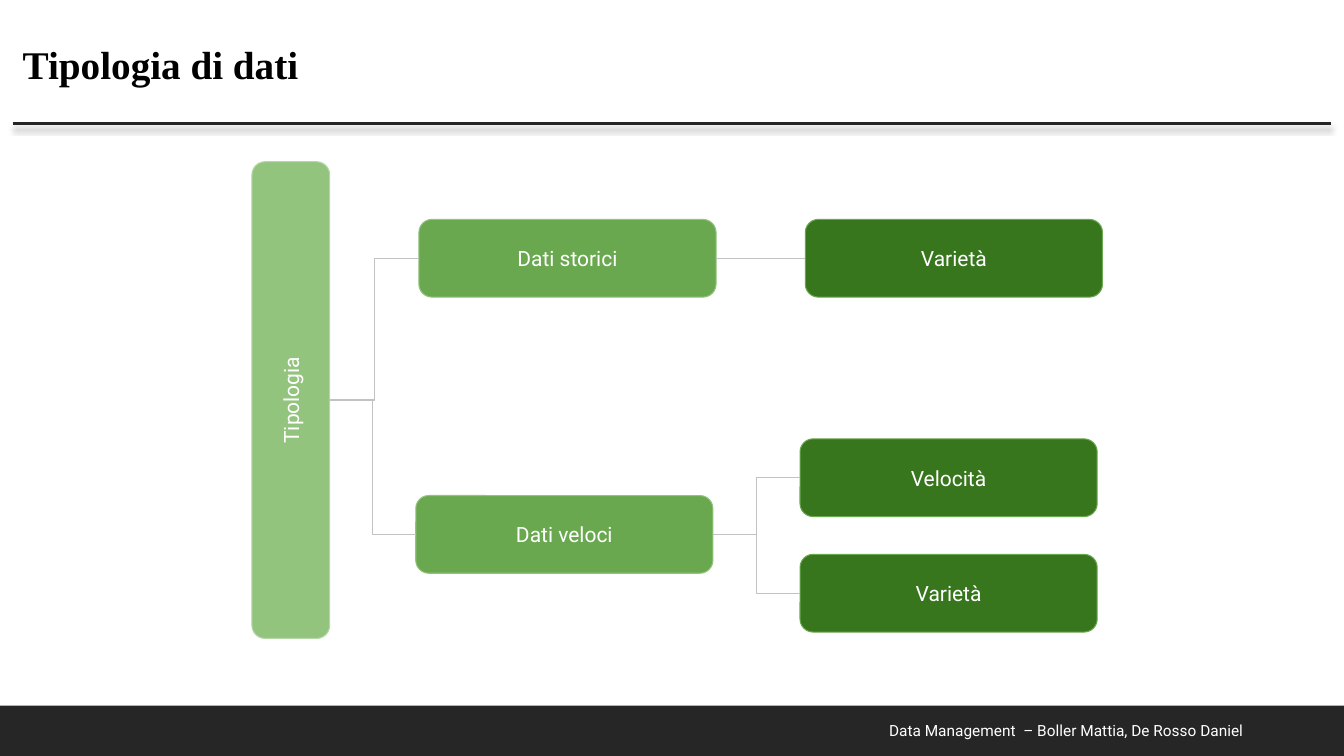
"""Build the slide with the tree of data types."""
from lxml.etree import SubElement
from pptx import Presentation
from pptx.dml.color import RGBColor as Rgb
from pptx.enum.shapes import MSO_CONNECTOR as Link, MSO_SHAPE as Form
from pptx.enum.text import MSO_ANCHOR as Anchor, MSO_AUTO_SIZE as Auto, PP_ALIGN as Align
from pptx.oxml.ns import qn
from pptx.util import Pt

PX = 9525
HEX = {"dark": "262626", "black": "000000", "white": "FFFFFF", "gray": "C2C2C2",
       "pale": "B6D7A8", "light": "93C47D", "mid": "6AA84F", "deep": "38761D"}
FACE = {"name": "Roboto", "size": Pt(15), "bold": False}


def write(shape, text, face, tint, align, frame):
    """Fill a shape with one formatted paragraph."""
    box = shape.text_frame
    box.text = text
    para = box.paragraphs[0]
    para.alignment = align
    font = para.runs[0].font
    font.color.rgb = Rgb.from_string(HEX[tint])
    for item, vals in ((box, frame), (font, face)):
        for key, val in vals.items():
            setattr(item, key, val)


def join(kind, ends, tint, width):
    """Draw a connector and return it with its empty effect list."""
    line = slide.shapes.add_connector(kind, *(n * PX for n in ends))
    line.line.color.rgb = Rgb.from_string(HEX[tint])
    line.line.width = Pt(width)
    return line, SubElement(line._element.spPr, qn("a:effectLst"))


deck = Presentation()
deck.slide_width, deck.slide_height = 1280 * PX, 720 * PX
slide = deck.slides.add_slide(deck.slide_layouts[5])

bar = slide.shapes.add_shape(Form.RECTANGLE, 0, 672 * PX, 1280 * PX, 48 * PX)
bar.shadow.inherit = False
bar.fill.solid()
bar.fill.fore_color.rgb = Rgb.from_string(HEX["dark"])
bar.line.fill.background()

foot = slide.shapes.add_textbox(779 * PX, 677 * PX, 415 * PX, 38 * PX)
write(foot, "Data Management  – Boller Mattia, De Rosso Daniel", {**FACE, "size": Pt(11)},
      "white", Align.RIGHT, {"word_wrap": True, "vertical_anchor": Anchor.MIDDLE})

rule, glow = join(Link.STRAIGHT, (12, 118, 1268, 118), "dark", 2)
shade = SubElement(glow, qn("a:outerShdw"), blurRad=str(Pt(4)), dist=str(Pt(3)),
                   dir="5400000", algn="t", rotWithShape="0")
tone = SubElement(shade, qn("a:srgbClr"), val=HEX["black"])
SubElement(tone, qn("a:alpha"), val="40000")

title = slide.shapes.title
for key, val in {"left": 12, "top": 34, "width": 319, "height": 55}.items():
    setattr(title, key, val * PX)
write(title, "Tipologia di dati", {"name": "Times New Roman", "size": Pt(28), "bold": True},
      "black", Align.LEFT, {"word_wrap": True, "vertical_anchor": Anchor.TOP,
                            "auto_size": Auto.SHAPE_TO_FIT_TEXT})

PAD = {"margin_" + side: 12 * PX for side in ("left", "top", "right", "bottom")}
FRAME = {**PAD, "word_wrap": True, "vertical_anchor": Anchor.MIDDLE}
WIDE, HIGH = 283, 74
NODES = {
    "root": ("Tipologia", 50, 344, 454, "light", "pale"),
    "past": ("Dati storici", 399, 209, WIDE, "mid", "light"),
    "fast": ("Dati veloci", 396, 472, WIDE, "mid", "light"),
    "kind": ("Varietà", 767, 209, WIDE, "deep", "mid"),
    "speed": ("Velocità", 762, 418, WIDE, "deep", "mid"),
    "range": ("Varietà", 762, 528, WIDE, "deep", "mid"),
}
nodes = {}
for name, (text, left, top, wide, fill, edge) in NODES.items():
    node = slide.shapes.add_shape(Form.ROUNDED_RECTANGLE, left * PX, top * PX,
                                  wide * PX, HIGH * PX)
    node.shadow.inherit = False
    node.adjustments[0] = 0.167
    node.fill.solid()
    node.fill.fore_color.rgb = Rgb.from_string(HEX[fill])
    node.line.color.rgb = Rgb.from_string(HEX[edge])
    node.line.width = Pt(0.75)
    write(node, text, FACE, "white", Align.CENTER, FRAME)
    nodes[name] = node
nodes["root"].rotation = 270

LINKS = (("root", "past", Link.ELBOW), ("root", "fast", Link.ELBOW),
         ("past", "kind", Link.STRAIGHT),
         ("fast", "speed", Link.ELBOW), ("fast", "range", Link.ELBOW))
for start, end, kind in LINKS:
    left, top = NODES[end][1:3]
    line, _ = join(kind, (314, 381, left, top + HIGH // 2), "gray", 0.75)
    if start != "root":
        line.begin_connect(nodes[start], 3)
    line.end_connect(nodes[end], 1)

deck.save("out.pptx")
